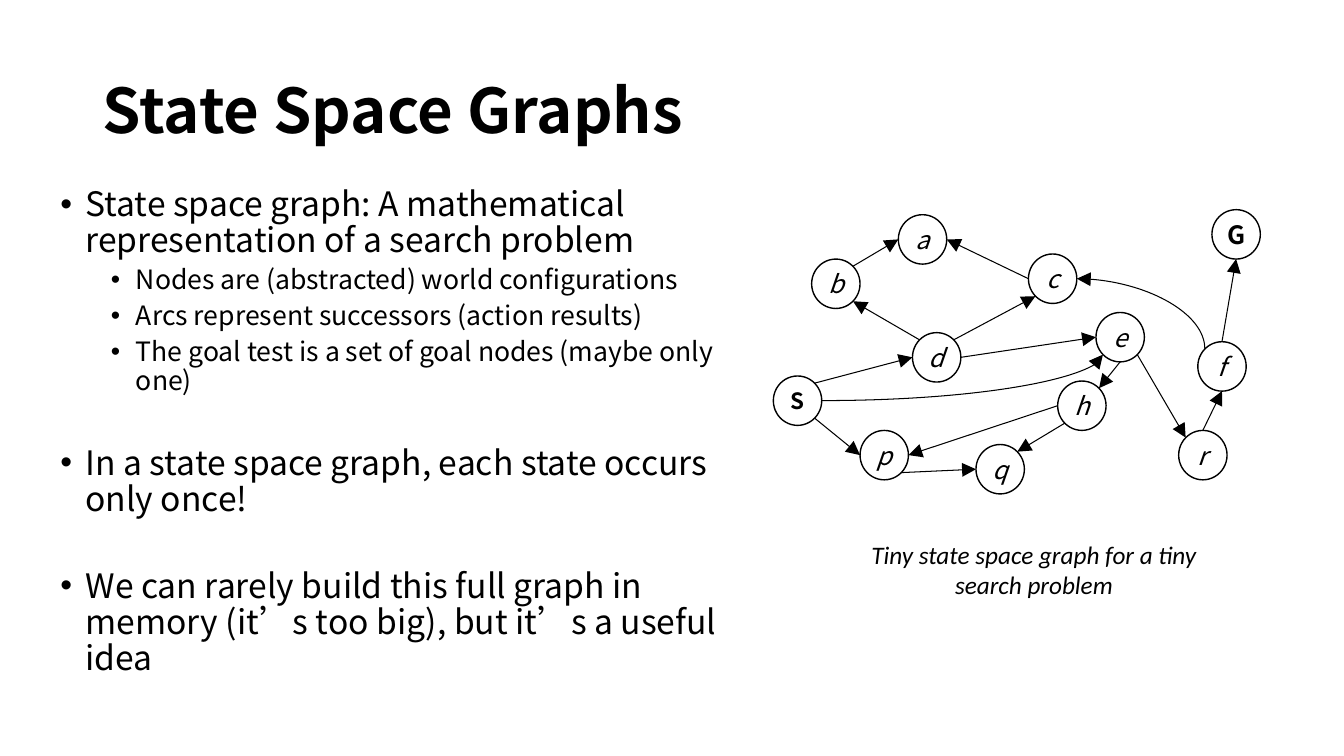
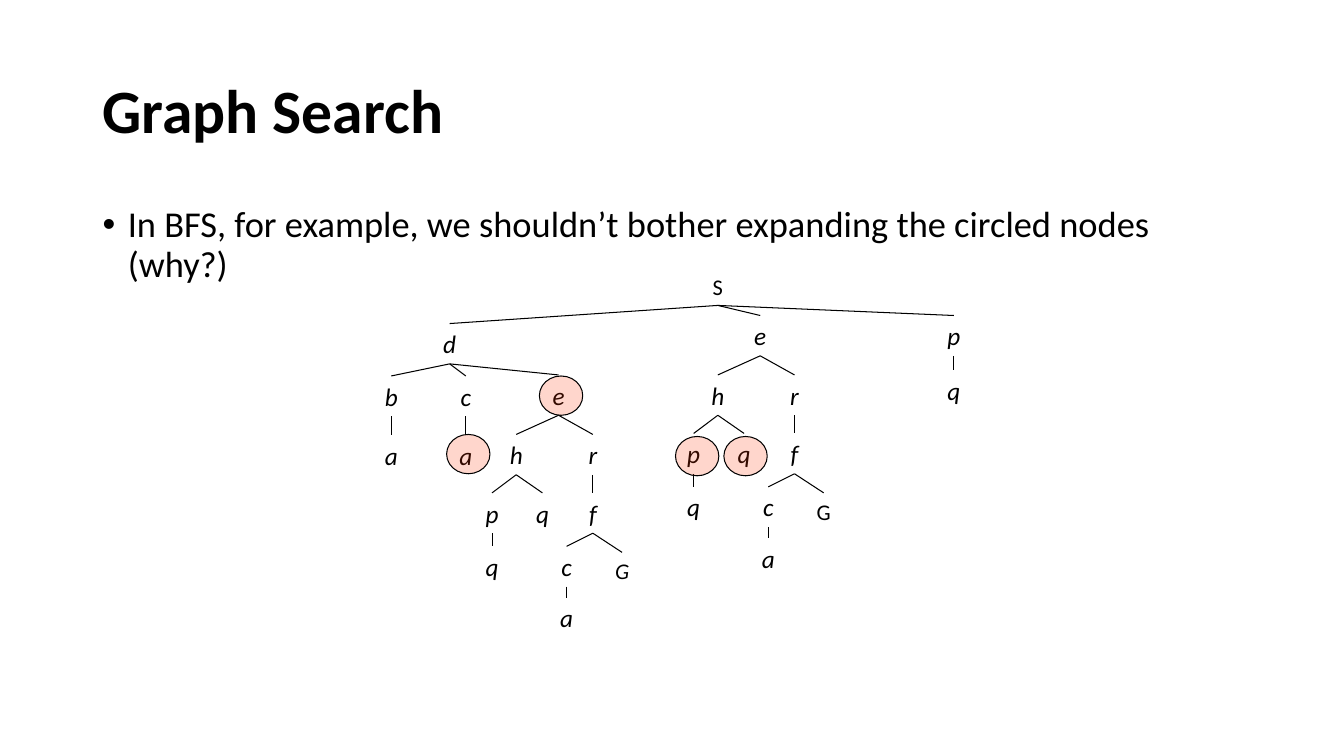
from dataclasses import dataclass
from typing import NamedTuple

from lxml import etree
from pptx import Presentation
from pptx.dml.color import RGBColor
from pptx.enum.shapes import MSO_CONNECTOR, MSO_SHAPE
from pptx.enum.text import MSO_ANCHOR, PP_ALIGN
from pptx.oxml.ns import qn
from pptx.util import Inches, Pt

STRAIGHT, CURVE = MSO_CONNECTOR.STRAIGHT, MSO_CONNECTOR.CURVE
NODE_SHAPE, OVAL = MSO_SHAPE.FLOWCHART_CONNECTOR, MSO_SHAPE.OVAL
TOP, MIDDLE = MSO_ANCHOR.TOP, MSO_ANCHOR.MIDDLE
LEFT, CENTER = PP_ALIGN.LEFT, PP_ALIGN.CENTER


@dataclass(frozen=True)
class Theme:
    ink: RGBColor = RGBColor(0x00, 0x00, 0x00)
    mark: RGBColor = RGBColor(0xFF, 0x33, 0x00)
    mark_opacity: int = 20
    graph_font: str = "Noto Sans CJK SC"
    tree_font: str = "Calibri"
    title_size: int = 44
    graph_body_size: int = 24
    graph_detail_size: int = 19
    tree_body_size: int = 26
    label_size: int = 18
    small_label_size: int = 16
    line_spacing: float = 0.9
    outline: float = 1
    hairline: float = 0.75


class Bullet(NamedTuple):
    text: str
    size: int
    level: int = 0
    space_before: int = 0


class TreeNode(NamedTuple):
    label: str
    center: float
    top: float
    children: tuple = ()
    italic: bool = True


# Unit offsets of the points where arcs meet a circle
DIAGONAL = 0.71
SITES = {
    "N": (0, -1), "S": (0, 1), "W": (-1, 0), "E": (1, 0),
    "NW": (-DIAGONAL, -DIAGONAL), "NE": (DIAGONAL, -DIAGONAL),
    "SW": (-DIAGONAL, DIAGONAL), "SE": (DIAGONAL, DIAGONAL),
}
NODE_W, NODE_H = 0.48, 0.49


class Deck:
    def __init__(self, theme):
        self.theme = theme
        self.presentation = Presentation()
        self.presentation.slide_width = Inches(13.33)
        self.presentation.slide_height = Inches(7.5)
        self.slide = None
        self.font = None

    def new_slide(self, title, font):
        layout = self.presentation.slide_layouts[6]
        self.slide = self.presentation.slides.add_slide(layout)
        self.font = font
        heading = self.text(title, (0.92, 0.4, 11.5, 1.45), self.theme.title_size,
                            bold=True, align=LEFT, anchor=MIDDLE)
        heading.paragraphs[0].line_spacing = self.theme.line_spacing

    def style_runs(self, paragraph, size, bold=False, italic=False):
        for run in paragraph.runs:
            run.font.name = self.font
            run.font.size = Pt(size)
            run.font.bold = bold
            run.font.italic = italic
            run.font.color.rgb = self.theme.ink

    def text(self, words, box, size, bold=False, italic=False,
             align=CENTER, anchor=TOP):
        frame = self.slide.shapes.add_textbox(*map(Inches, box)).text_frame
        frame.word_wrap = True
        frame.vertical_anchor = anchor
        frame.text = words
        frame.paragraphs[0].alignment = align
        self.style_runs(frame.paragraphs[0], size, bold, italic)
        return frame

    def bullets(self, items, box):
        frame = self.slide.shapes.add_textbox(*map(Inches, box)).text_frame
        frame.word_wrap = True
        for index, item in enumerate(items):
            paragraph = frame.add_paragraph() if index else frame.paragraphs[0]
            paragraph.text = item.text
            paragraph.level = item.level
            properties = paragraph._p.get_or_add_pPr()
            properties.set("marL", str(Inches(0.25 + 0.5 * item.level)))
            properties.set("indent", str(Inches(-0.25)))
            etree.SubElement(properties, qn("a:buFont"), typeface="Arial")
            etree.SubElement(properties, qn("a:buChar"), char="•")
            paragraph.line_spacing = self.theme.line_spacing
            paragraph.space_before = Pt(item.space_before)
            self.style_runs(paragraph, item.size)

    def line(self, start, end, kind=STRAIGHT, arrow=None):
        """Draw a line; arrow is None, "a:headEnd" (at start) or "a:tailEnd"."""
        connector = self.slide.shapes.add_connector(
            kind, *map(Inches, (*start, *end)))
        connector.line.color.rgb = self.theme.ink
        connector.line.width = Pt(self.theme.hairline)
        properties = connector._element.spPr
        if kind == CURVE:
            # A quarter bend: leaves horizontally, arrives vertically
            properties.find(qn("a:prstGeom")).set("prst", "curvedConnector2")
        if arrow:
            etree.SubElement(properties.find(qn("a:ln")), qn(arrow),
                             type="triangle", w="lg", len="lg")
        etree.SubElement(properties, qn("a:effectLst"))

    def outline_shape(self, kind, box, width):
        shape = self.slide.shapes.add_shape(kind, *map(Inches, box))
        shape.shadow.inherit = False
        shape.fill.background()
        shape.line.color.rgb = self.theme.ink
        shape.line.width = Pt(width)
        return shape

    def graph_node(self, label, left, top):
        circle = self.outline_shape(
            NODE_SHAPE, (left, top, NODE_W, NODE_H), self.theme.outline)
        frame = circle.text_frame
        frame.word_wrap = False
        frame.vertical_anchor = MIDDLE
        frame.text = label
        frame.paragraphs[0].alignment = CENTER
        size = self.theme.small_label_size if label == "S" else self.theme.label_size
        self.style_runs(frame.paragraphs[0], size,
                        bold=label.isupper(), italic=label.islower())

    def tree(self, node):
        """Draw a node, its subtrees and the branches to them."""
        small = node.label.isupper()
        width, height = (0.83, 0.37) if small else (0.42, 0.4)
        size = self.theme.small_label_size if small else self.theme.label_size
        self.text(node.label, (node.center - width / 2, node.top, width, height),
                  size, italic=node.italic)
        for child in node.children:
            self.line((node.center, node.top + height), (child.center, child.top))
            self.tree(child)

    def circle_mark(self, left, top):
        mark = self.outline_shape(
            OVAL, (left, top, 0.43, 0.39), self.theme.hairline)
        mark.fill.solid()
        mark.fill.fore_color.rgb = self.theme.mark
        color = mark._element.spPr.find(qn("a:solidFill"))[0]
        etree.SubElement(color, qn("a:alpha"), val=str(self.theme.mark_opacity * 1000))


def state_space_graphs(deck):
    theme = deck.theme
    deck.new_slide("State Space Graphs", theme.graph_font)
    main_size, detail_size = theme.graph_body_size, theme.graph_detail_size
    deck.bullets([
        Bullet("State space graph: A mathematical representation of a search problem",
               main_size),
        Bullet("Nodes are (abstracted) world configurations", detail_size, 1, 5),
        Bullet("Arcs represent successors (action results)", detail_size, 1, 5),
        Bullet("The goal test is a set of goal nodes (maybe only one)",
               detail_size, 1, 5),
        Bullet("In a state space graph, each state occurs only once!",
               main_size, 0, 36),
        Bullet("We can rarely build this full graph in memory (it’s too big), "
               "but it’s a useful idea", main_size, 0, 36),
    ], (0.5, 1.81, 6.92, 4.95))

    # States, by the top left corner of their circle
    states = {
        "S": (7.67, 3.73), "G": (12.02, 2.08), "d": (9.05, 3.3), "b": (8.05, 2.57),
        "p": (8.53, 4.27), "q": (9.68, 4.41), "c": (10.2, 2.52), "e": (10.87, 3.1),
        "h": (10.49, 3.78), "a": (8.91, 2.13), "f": (11.88, 3.39), "r": (11.69, 4.27),
    }
    for label, corner in states.items():
        deck.graph_node(label, *corner)

    def site(state, side):
        (left, top), (dx, dy) = states[state], SITES[side]
        return left + NODE_W / 2 * (1 + dx), top + NODE_H / 2 * (1 + dy)

    # Arcs between states
    arcs = [
        ("S", "SE", "p", "W"), ("p", "SE", "q", "W"), ("h", "SW", "q", "NE"),
        ("h", "W", "p", "E"), ("e", "S", "h", "NE"), ("e", "SE", "r", "NW"),
        ("r", "N", "f", "S"), ("f", "N", "G", "S"), ("S", "NE", "d", "W"),
        ("d", "NW", "b", "SE"), ("b", "NE", "a", "W"), ("c", "W", "a", "E"),
        ("d", "NE", "c", "SW"), ("d", "E", "e", "W"),
    ]
    for source, leave, target, arrive in arcs:
        deck.line(site(source, leave), site(target, arrive), arrow="a:tailEnd")
    deck.line(site("c", "E"), site("f", "NW"), CURVE, "a:headEnd")
    deck.line(site("S", "E"), site("e", "SW"), CURVE, "a:tailEnd")

    # Caption
    deck.font = theme.tree_font
    deck.text("Tiny state space graph for a tiny search problem",
              (8.42, 5.3, 3.67, 0.71), theme.label_size, italic=True)


def expansion_of_e(center, top, italic_goal):
    """The subtree below e, which the search meets twice."""
    def node(label, dx, dy, *children, italic=True):
        return TreeNode(label, center + dx, top + dy, children, italic)

    return node(
        "e", 0, 0,
        node("h", -0.42, 0.59,
             node("p", -0.66, 1.17, node("q", -0.66, 1.7)),
             node("q", -0.16, 1.17)),
        node("r", 0.34, 0.59,
             node("f", 0.34, 1.17,
                  node("c", 0.08, 1.7, node("a", 0.08, 2.21)),
                  node("G", 0.63, 1.76, italic=italic_goal))))


def graph_search(deck):
    theme = deck.theme
    deck.new_slide("Graph Search", theme.tree_font)
    deck.bullets([
        Bullet("In BFS, for example, we shouldn’t bother expanding the circled "
               "nodes (why?)", theme.tree_body_size),
    ], (0.92, 2, 11.5, 4.76))

    # Search tree
    below_d = TreeNode("d", 4.46, 3.21, (
        TreeNode("b", 3.88, 3.73, (TreeNode("a", 3.88, 4.32),)),
        TreeNode("c", 4.62, 3.73, (TreeNode("a", 4.62, 4.32),)),
        expansion_of_e(5.54, 3.72, italic_goal=True)))
    below_p = TreeNode("p", 9.46, 3.13, (TreeNode("q", 9.46, 3.67),))
    deck.tree(TreeNode("S", 7.12, 2.66, (
        below_d, expansion_of_e(7.54, 3.13, italic_goal=False), below_p), italic=False))

    # Nodes not worth expanding again
    for corner in [(5.35, 3.73), (6.7, 4.33), (4.43, 4.31), (7.18, 4.33)]:
        deck.circle_mark(*corner)


def main():
    deck = Deck(Theme())
    state_space_graphs(deck)
    graph_search(deck)
    deck.presentation.save("out.pptx")


if __name__ == "__main__":
    main()
